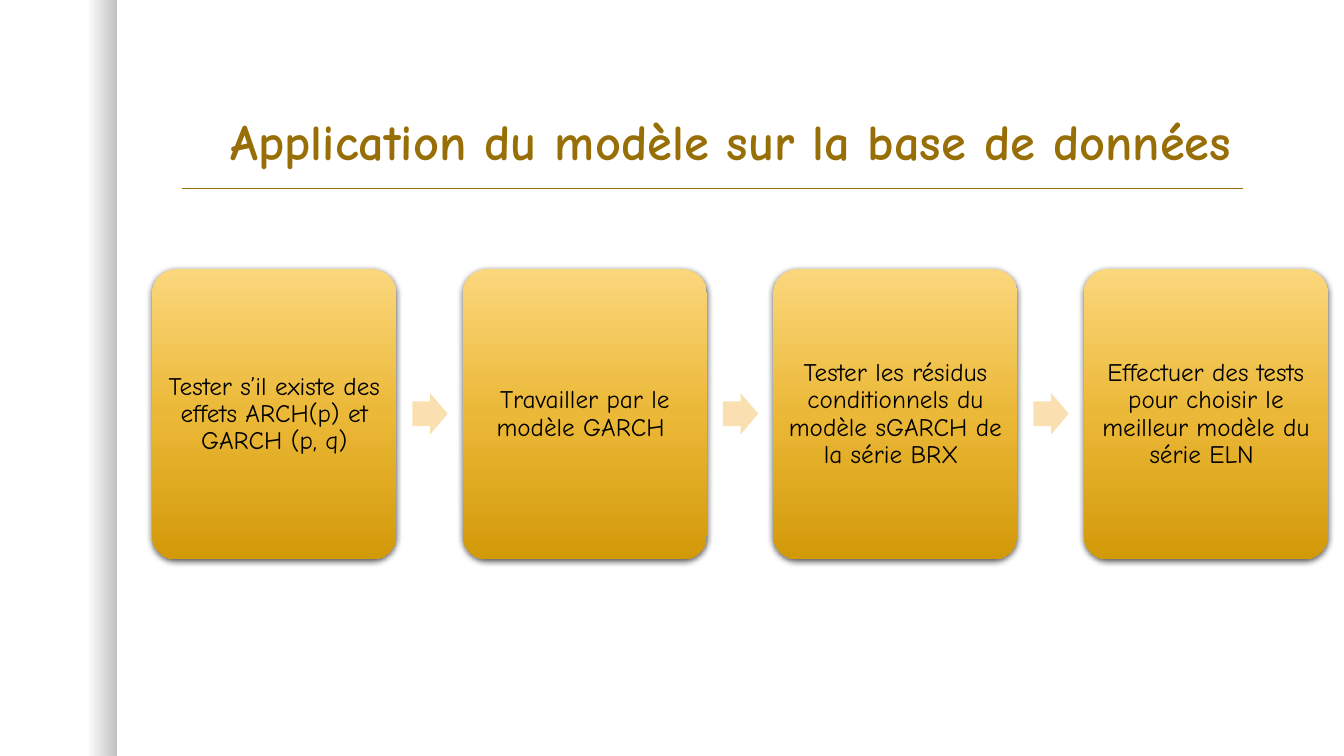
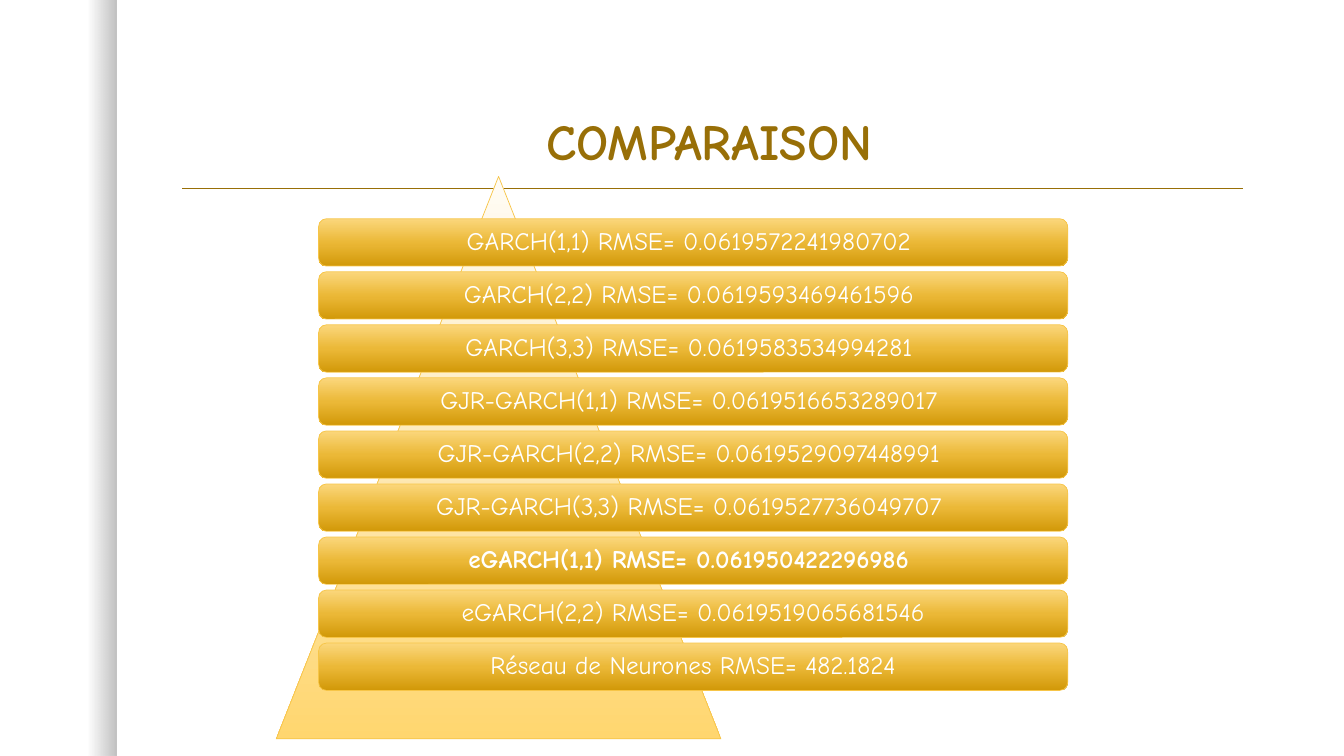
from typing import NamedTuple, Optional

from lxml import etree
from pptx import Presentation
from pptx.dml.color import RGBColor
from pptx.enum.shapes import MSO_CONNECTOR, MSO_SHAPE
from pptx.enum.text import MSO_ANCHOR, PP_ALIGN
from pptx.oxml.ns import qn
from pptx.util import Inches, Pt

RECTANGLE = MSO_SHAPE.RECTANGLE
ROUNDED = MSO_SHAPE.ROUNDED_RECTANGLE
TRIANGLE = MSO_SHAPE.ISOSCELES_TRIANGLE
ARROW = MSO_SHAPE.RIGHT_ARROW
STRAIGHT = MSO_CONNECTOR.STRAIGHT
CENTER = PP_ALIGN.CENTER
MIDDLE, BOTTOM = MSO_ANCHOR.MIDDLE, MSO_ANCHOR.BOTTOM

SLIDE_WIDTH, SLIDE_HEIGHT = 13.33, 7.5
FONT = "Comic Neue"
COLORS = {
    "title": "986F07",
    "black": "000000",
    "white": "FFFFFF",
    "arrow": "FADFB1",
    "outline": "F7C547",
}
TITLE_FORMAT = {"name": FONT, "size": Pt(36), "bold": True}
BODY_FORMAT = {"name": FONT, "size": Pt(18), "bold": False}
STRONG_FORMAT = {**BODY_FORMAT, "bold": True}
INSETS = {f"margin_{side}": Inches(0.07) for side in ("left", "top", "right", "bottom")}


class Box(NamedTuple):
    left: float
    top: float
    width: float
    height: float


class Stop(NamedTuple):
    position: int
    color: str
    alpha: int = 100


class Gradient(NamedTuple):
    stops: tuple[Stop, ...]
    angle: int = 270  # counterclockwise: top to bottom


class Result(NamedTuple):
    text: str
    best: bool = False


GOLD = Gradient((Stop(0, "FBD77C"), Stop(50, "EBB837"), Stop(100, "D29909")))
PALE_GOLD = Gradient((Stop(0, "FFFCF5"), Stop(50, "FDE9B7"), Stop(100, "FFD66F")))
BAND_SHADE = Gradient((Stop(75, COLORS["black"], 0), Stop(100, COLORS["black"], 25)), 0)

# Steps of the process
STEPS = (
    "Tester s’il existe des effets ARCH(p) et GARCH (p, q)",
    "Travailler par le modèle GARCH ",
    "Tester les résidus conditionnels du modèle sGARCH de la série BRX ",
    "Effectuer des tests pour choisir le meilleur modèle du série ELN ",
)
FIRST_CARD = Box(1.51, 2.67, 2.42, 2.88)
CARD_PITCH = 3.08
FIRST_ARROW = Box(4.09, 3.9, 0.35, 0.41)

# Results of the models
RESULTS = (
    Result("GARCH(1,1) RMSE= 0.0619572241980702 "),
    Result("GARCH(2,2) RMSE= 0.0619593469461596 "),
    Result("GARCH(3,3) RMSE= 0.0619583534994281 "),
    Result("GJR-GARCH(1,1) RMSE= 0.0619516653289017 "),
    Result("GJR-GARCH(2,2) RMSE= 0.0619529097448991 "),
    Result("GJR-GARCH(3,3) RMSE= 0.0619527736049707 "),
    Result("eGARCH(1,1) RMSE= 0.061950422296986 ", best=True),
    Result("eGARCH(2,2) RMSE= 0.0619519065681546"),
    Result("Réseau de Neurones RMSE= 482.1824"),
)
FIRST_ROW = Box(3.16, 2.17, 7.43, 0.47)
ROW_PITCH = (6.38 - FIRST_ROW.top) / (len(RESULTS) - 1)


def rgb(name: str) -> RGBColor:
    return RGBColor.from_string(COLORS[name])


def lengths(box: Box) -> list:
    return [Inches(value) for value in box]


def add_color(parent, color: str, alpha: int) -> None:
    element = etree.SubElement(parent, qn("a:srgbClr"), val=color)
    if alpha < 100:
        etree.SubElement(element, qn("a:alpha"), val=str(alpha * 1000))


def apply_gradient(shape, gradient: Gradient) -> None:
    shape.fill.gradient()
    shape.fill.gradient_angle = gradient.angle
    stop_list = shape._element.spPr.find(f".//{qn('a:gsLst')}")
    for old_stop in list(stop_list):
        stop_list.remove(old_stop)
    for stop in gradient.stops:
        element = etree.SubElement(stop_list, qn("a:gs"), pos=str(stop.position * 1000))
        add_color(element, stop.color, stop.alpha)


def apply_shadow(shape) -> None:
    effects = shape._element.spPr.find(qn("a:effectLst"))
    shadow = etree.SubElement(
        effects, qn("a:outerShdw"), blurRad=str(Pt(4.5)), dist=str(Pt(1.5)),
        dir="5400000", algn="ctr", rotWithShape="0",
    )
    add_color(shadow, COLORS["black"], 63)


def add_plain_shape(slide, kind, box: Box, outline: Optional[str] = None,
                    adjustments: tuple[float, ...] = ()):
    shape = slide.shapes.add_shape(kind, *lengths(box))
    shape.shadow.inherit = False
    if outline:
        shape.line.color.rgb = rgb(outline)
        shape.line.width = Pt(0.5)
    else:
        shape.line.fill.background()
    for index, value in enumerate(adjustments):
        shape.adjustments[index] = value
    return shape


def set_text(shape, text: str, font_format: dict, color: str, anchor=MIDDLE) -> None:
    frame = shape.text_frame
    frame.word_wrap = True
    frame.vertical_anchor = anchor
    paragraph = frame.paragraphs[0]
    paragraph.alignment = CENTER
    paragraph.line_spacing = 0.9
    run = paragraph.add_run()
    run.text = text
    run.font.color.rgb = rgb(color)
    for name, value in font_format.items():
        setattr(run.font, name, value)


def set_insets(shape) -> None:
    for name, value in INSETS.items():
        setattr(shape.text_frame, name, value)


def add_titled_slide(presentation, title: str, title_box: Box):
    slide = presentation.slides.add_slide(presentation.slide_layouts[6])
    # Shaded band on the left
    band = add_plain_shape(slide, RECTANGLE, Box(0, 0, 1.16, SLIDE_HEIGHT))
    apply_gradient(band, BAND_SHADE)
    # Rule under the title
    rule = slide.shapes.add_connector(
        STRAIGHT, Inches(1.81), Inches(1.87), Inches(12.33), Inches(1.87))
    rule.line.color.rgb = rgb("title")
    rule.line.width = Pt(1)
    etree.SubElement(rule._element.spPr, qn("a:effectLst"))
    # Title
    title_shape = slide.shapes.add_textbox(*lengths(title_box))
    set_text(title_shape, title, TITLE_FORMAT, "title", BOTTOM)
    return slide


def build_process_slide(presentation) -> None:
    slide = add_titled_slide(
        presentation, "Application du modèle sur la base de données",
        Box(1.5, 0.42, 11.5, 1.33))
    for index, step in enumerate(STEPS):
        shift = index * CARD_PITCH
        card = add_plain_shape(
            slide, ROUNDED, FIRST_CARD._replace(left=FIRST_CARD.left + shift),
            adjustments=(0.1,))
        apply_gradient(card, GOLD)
        apply_shadow(card)
        set_insets(card)
        set_text(card, step, BODY_FORMAT, "black")
        if index < len(STEPS) - 1:
            arrow = add_plain_shape(
                slide, ARROW, FIRST_ARROW._replace(left=FIRST_ARROW.left + shift),
                adjustments=(0.6, 0.5))
            arrow.fill.solid()
            arrow.fill.fore_color.rgb = rgb("arrow")


def build_comparison_slide(presentation) -> None:
    slide = add_titled_slide(presentation, "COMPARAISON", Box(1.66, 0.42, 10.75, 1.33))
    pyramid = add_plain_shape(slide, TRIANGLE, Box(2.74, 1.75, 4.41, 5.58), "outline")
    apply_gradient(pyramid, PALE_GOLD)
    for index, result in enumerate(RESULTS):
        row = add_plain_shape(
            slide, ROUNDED, FIRST_ROW._replace(top=FIRST_ROW.top + index * ROW_PITCH),
            "outline")
        apply_gradient(row, GOLD)
        set_insets(row)
        set_text(row, result.text, STRONG_FORMAT if result.best else BODY_FORMAT, "white")


def main() -> None:
    presentation = Presentation()
    presentation.slide_width = Inches(SLIDE_WIDTH)
    presentation.slide_height = Inches(SLIDE_HEIGHT)
    build_process_slide(presentation)
    build_comparison_slide(presentation)
    presentation.save("out.pptx")


if __name__ == "__main__":
    main()
